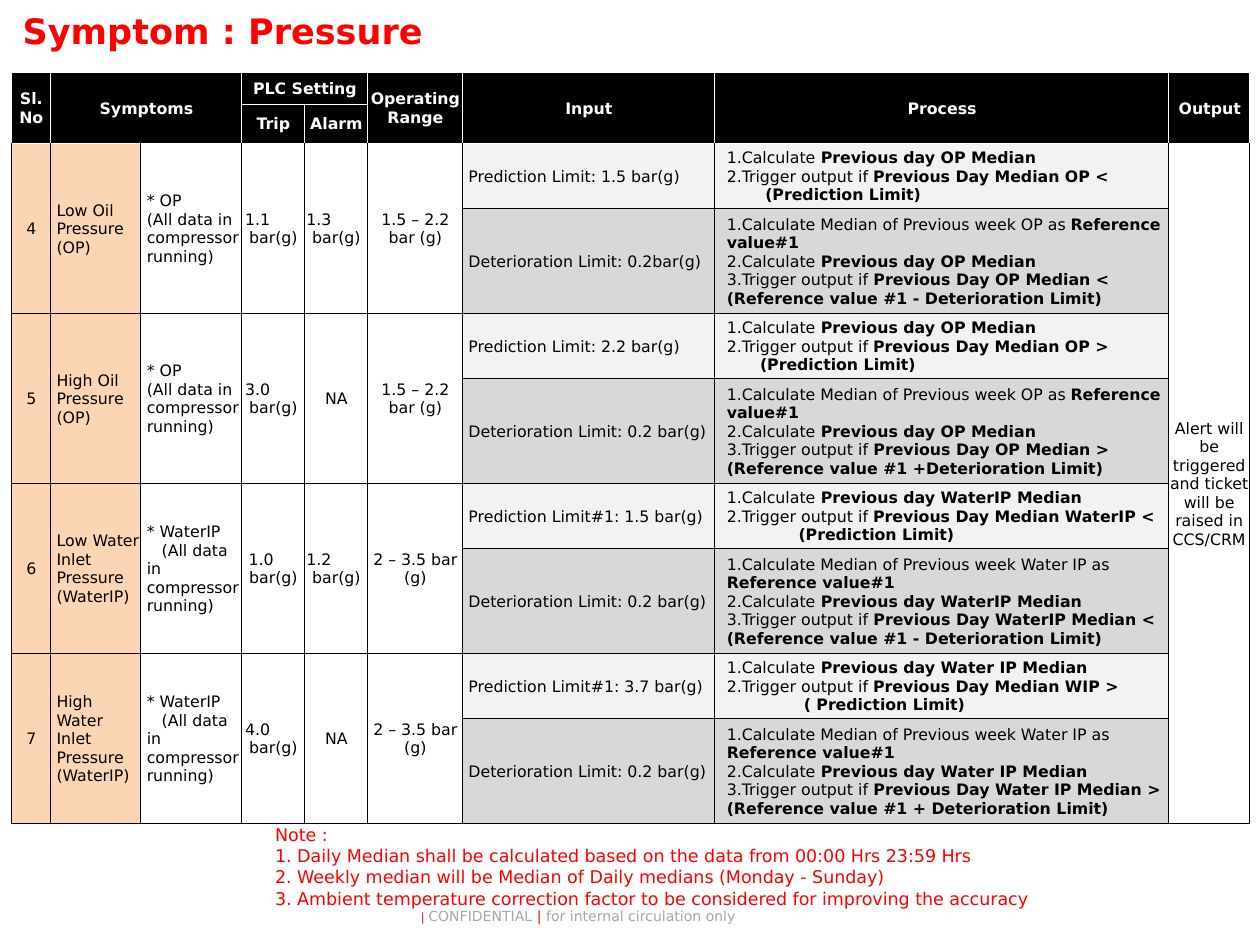
from pptx import Presentation
from pptx.dml.color import RGBColor
from pptx.enum import text
from pptx.oxml import parse_xml
from pptx.oxml.ns import nsdecls
from pptx.util import Pt

FONT = "DejaVu Sans"
RED = RGBColor(0xFF, 0x00, 0x00)
GREY = RGBColor(0xA6, 0xA6, 0xA6)
BLACK = RGBColor(0x00, 0x00, 0x00)
WHITE = RGBColor(0xFF, 0xFF, 0xFF)
PEACH = RGBColor(0xFC, 0xD5, 0xB5)
LIGHT = RGBColor(0xF2, 0xF2, 0xF2)
MID = RGBColor(0xD8, 0xD8, 0xD8)
LEFT, CENTER = text.PP_ALIGN.LEFT, text.PP_ALIGN.CENTER
MIDDLE = text.MSO_ANCHOR.MIDDLE

COLS = [22.3, 51.6, 57.6, 36, 36, 54.25, 144, 259.75, 46.2]
ROWS = [18, 21.6] + [37.2, 60] * 4
HEADERS = [
    (0, 0, 1, 0, "Sl. No"), (0, 1, 1, 2, "Symptoms"), (0, 3, 0, 4, "PLC Setting"),
    (1, 3, 1, 3, "Trip"), (1, 4, 1, 4, "Alarm"), (0, 5, 1, 5, "Operating Range"),
    (0, 6, 1, 6, "Input"), (0, 7, 1, 7, "Process"), (0, 8, 1, 8, "Output"),
]
OP_DATA = ("* OP", 0)
WATER_DATA = ("* WaterIP", 8.5)
SYMPTOMS = [
    dict(no="4", name="Low Oil Pressure (OP)", data=OP_DATA, trip=("1.1", 1.5),
         alarm=("1.3", 0.5), range="1.5 – 2.2 bar (g)",
         limits=("Prediction Limit: 1.5 bar(g)", "Deterioration Limit: 0.2bar(g)"),
         median="OP", daily="OP <", limit="(Prediction Limit)", indent=22,
         week="OP", weekly="OP Median < (Reference value #1 - Deterioration Limit)"),
    dict(no="5", name="High Oil Pressure (OP)", data=OP_DATA, trip=("3.0", 1.5),
         alarm=None, range="1.5 – 2.2 bar (g)",
         limits=("Prediction Limit: 2.2 bar(g)", "Deterioration Limit: 0.2 bar(g)"),
         median="OP", daily="OP >", limit="(Prediction Limit)", indent=19,
         week="OP", weekly="OP Median > (Reference value #1 +Deterioration Limit)"),
    dict(no="6", name="Low Water Inlet Pressure (WaterIP)", data=WATER_DATA,
         trip=("1.0", 3.5), alarm=("1.2", 0.5), range="2 – 3.5 bar (g)",
         limits=("Prediction Limit#1: 1.5 bar(g)", "Deterioration Limit: 0.2 bar(g)"),
         median="WaterIP", daily="WaterIP <", limit="(Prediction Limit)", indent=41,
         week="Water IP",
         weekly="WaterIP Median < (Reference value #1 - Deterioration Limit)"),
    dict(no="7", name="High Water Inlet Pressure (WaterIP)", data=WATER_DATA,
         trip=("4.0", 1.5), alarm=None, range="2 – 3.5 bar (g)",
         limits=("Prediction Limit#1: 3.7 bar(g)", "Deterioration Limit: 0.2 bar(g)"),
         median="Water IP", daily="WIP >", limit="( Prediction Limit)", indent=44,
         week="Water IP",
         weekly="Water IP Median > (Reference value #1 + Deterioration Limit)"),
]
NOTES = [
    "Note :",
    "1. Daily Median shall be calculated based on the data from 00:00 Hrs 23:59 Hrs",
    "2. Weekly median will be Median of Daily medians (Monday - Sunday)",
    "3. Ambient temperature correction factor to be considered for improving the accuracy",
]


def add_run(p, words, size, color, bold=False):
    r = p.add_run()
    r.text = words
    r.font.name, r.font.size, r.font.bold = FONT, Pt(size), bold
    r.font.color.rgb = color


def place(sp, box):
    sp.left, sp.top, sp.width, sp.height = [Pt(v) for v in box]


def set_border(cell, line, top):
    props = cell._tc.get_or_add_tcPr()
    for i, side in enumerate("LRTB"):
        color = top if side == "T" else line
        props.insert(i, parse_xml(
            f'<a:ln{side} {nsdecls("a")} w="6350"><a:solidFill>'
            f'<a:srgbClr val="{color}"/></a:solidFill></a:ln{side}>'))


def style_cell(cell, fill, line, top):
    cell.margin_left = cell.margin_top = Pt(0.7)
    cell.margin_right = cell.margin_bottom = 0
    cell.vertical_anchor = MIDDLE
    cell.fill.solid()
    cell.fill.fore_color.rgb = fill
    set_border(cell, line, top)


def write_cell(cell, lines, align=LEFT, margin=0.7, color=BLACK, bold=False):
    cell.margin_left = Pt(margin)
    tf = cell.text_frame
    for i, line in enumerate(lines):
        words, indent, line_align = line if isinstance(line, tuple) else (line, 0, align)
        p = tf.paragraphs[0] if i == 0 else tf.add_paragraph()
        p.alignment = line_align
        if indent:
            p._p.get_or_add_pPr().set("indent", str(int(Pt(indent))))
        for n, part in enumerate(words.split("|")):
            if part:
                add_run(p, part, 9, color, bold or n % 2 == 1)


def setting_lines(setting):
    if setting is None:
        return ["NA"]
    value, indent = setting
    return [(value, indent, LEFT), "bar(g)"]


def add_symptom(table, row, s):
    name, indent = s["data"]
    columns = [
        ([s["no"]], CENTER, 0.7),
        ([s["name"]], LEFT, 3.6),
        ([name, ("(All data in compressor running)", indent, LEFT)], LEFT, 3.6),
        (setting_lines(s["trip"]), CENTER, 0.7),
        (setting_lines(s["alarm"]), CENTER, 0.7),
        ([s["range"]], CENTER, 0.7),
    ]
    for col, (lines, align, margin) in enumerate(columns):
        table.cell(row, col).merge(table.cell(row + 1, col))
        write_cell(table.cell(row, col), lines, align, margin)
    calculate = f"Calculate| Previous day {s['median']} Median|"
    processes = [
        [f"1.{calculate}", f"2.Trigger output if |Previous Day Median {s['daily']}|",
         (f"|{s['limit']}|", s["indent"], LEFT)],
        [f"1.Calculate Median of Previous week {s['week']} as |Reference value#1|",
         f"2.{calculate}", f"3.Trigger output if| Previous Day {s['weekly']}|"],
    ]
    for i, process in enumerate(processes):
        write_cell(table.cell(row + i, 6), [s["limits"][i]], margin=3.6)
        write_cell(table.cell(row + i, 7), process, margin=7.2)


def add_symptom_table(slide, left, top):
    frame = slide.shapes.add_table(len(ROWS), len(COLS), Pt(left), Pt(top),
                                   Pt(sum(COLS)), Pt(sum(ROWS)))
    table = frame.table
    for col, width in zip(table.columns, COLS):
        col.width = Pt(width)
    for row, height in zip(table.rows, ROWS):
        row.height = Pt(height)
    for r in range(len(ROWS)):
        for c in range(len(COLS)):
            fill = BLACK if r < 2 else WHITE
            if r >= 2 and c < 2:
                fill = PEACH
            elif r >= 2 and c in (6, 7):
                fill = MID if r % 2 else LIGHT
            style_cell(table.cell(r, c), fill, WHITE if r < 2 else BLACK,
                       WHITE if r <= 2 else BLACK)
    for r1, c1, r2, c2, words in HEADERS:
        if (r1, c1) != (r2, c2):
            table.cell(r1, c1).merge(table.cell(r2, c2))
        write_cell(table.cell(r1, c1), [words], CENTER, color=WHITE, bold=True)
    for i, symptom in enumerate(SYMPTOMS):
        add_symptom(table, 2 + 2 * i, symptom)
    table.cell(2, 8).merge(table.cell(len(ROWS) - 1, 8))
    write_cell(table.cell(2, 8),
               ["Alert will be triggered and ticket will be raised in CCS/CRM"],
               CENTER, margin=0)


def add_title(slide, box):
    sp = slide.shapes.title
    place(sp, box)
    tf = sp.text_frame
    tf.auto_size = text.MSO_AUTO_SIZE.NONE
    tf.vertical_anchor = text.MSO_ANCHOR.TOP
    tf.paragraphs[0].alignment = LEFT
    add_run(tf.paragraphs[0], "Symptom : Pressure", 20, RED, True)


def add_notes(slide, box):
    sp = slide.placeholders[1]
    place(sp, box)
    tf = sp.text_frame
    tf.auto_size = text.MSO_AUTO_SIZE.NONE
    for i, note in enumerate(NOTES):
        p = tf.paragraphs[0] if i == 0 else tf.add_paragraph()
        p.space_before = Pt(0)
        props = p._p.get_or_add_pPr()
        props.set("marL", "0")
        props.set("indent", "0")
        props.append(parse_xml(f'<a:buNone {nsdecls("a")}/>'))
        add_run(p, note, 10, RED)


def add_footer(slide, box):
    sp = slide.shapes.add_textbox(*[Pt(v) for v in box])
    tf = sp.text_frame
    tf.word_wrap = True
    tf.margin_top = tf.margin_bottom = 0
    tf.vertical_anchor = MIDDLE
    p = tf.paragraphs[0]
    p.alignment = CENTER
    for words, size, color in [("| ", 6.5, RED), ("CONFIDENTIAL ", 8, GREY),
                               ("| ", 8, RED), ("for internal circulation only", 8, GREY)]:
        add_run(p, words, size, color)


prs = Presentation()
prs.slide_width, prs.slide_height = Pt(720), Pt(540)
s = prs.slides.add_slide(prs.slide_layouts[1])
add_footer(s, (72, 516, 517, 15))
add_title(s, (5.75, 2, 690, 32))
add_notes(s, (150, 467.5, 546, 55.5))
add_symptom_table(s, 6.4, 41.6)
prs.save("out.pptx")
